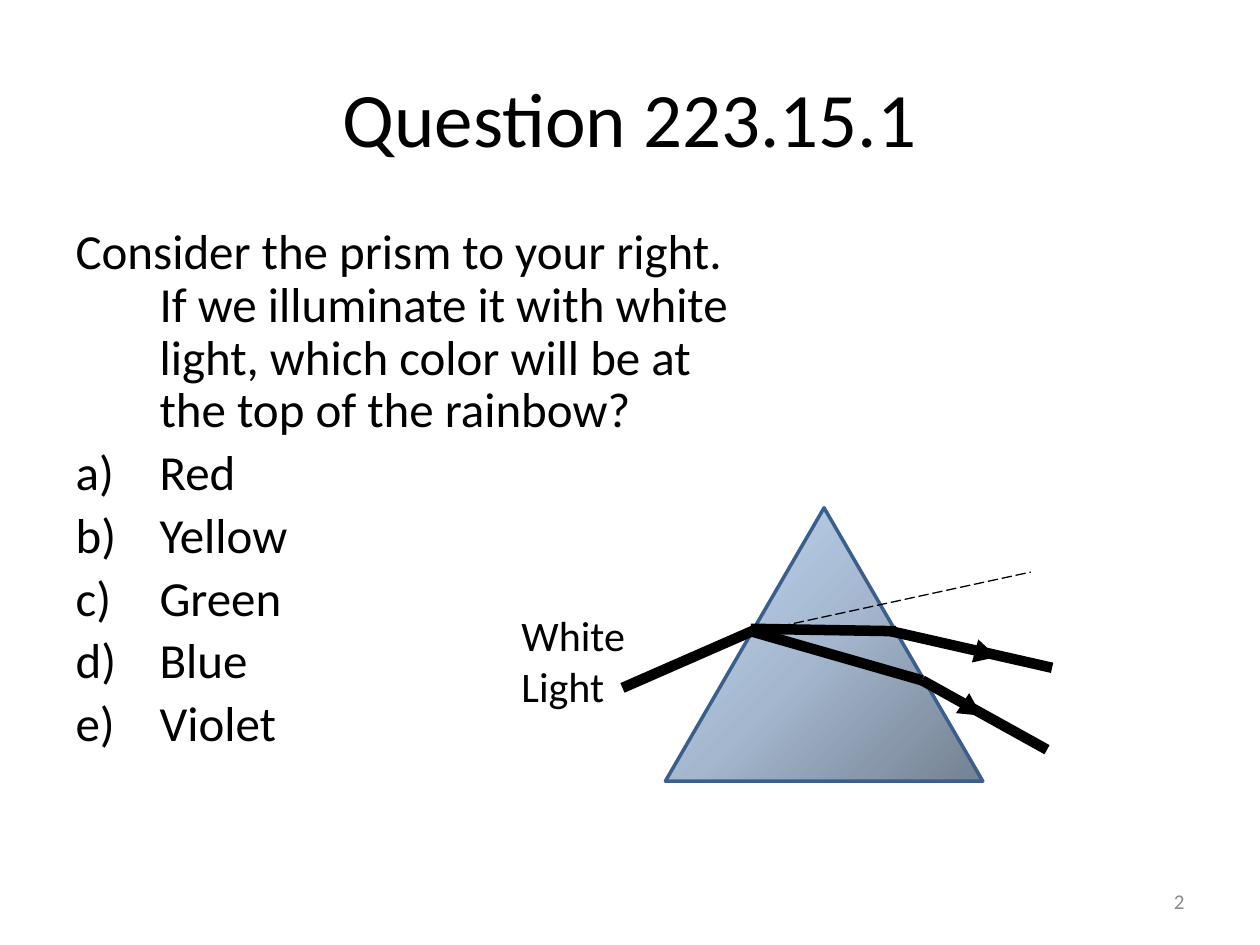
"""Build a question slide about dispersion in a prism."""
from lxml import etree
from pptx import Presentation
from pptx.dml.color import RGBColor
from pptx.enum.dml import MSO_LINE
from pptx.enum.shapes import MSO_CONNECTOR, MSO_SHAPE
from pptx.enum.text import MSO_ANCHOR, MSO_AUTO_SIZE, PP_ALIGN
from pptx.oxml import parse_xml
from pptx.oxml.ns import nsdecls, qn
from pptx.util import Pt

STRAIGHT = MSO_CONNECTOR.STRAIGHT
TRIANGLE = MSO_SHAPE.ISOSCELES_TRIANGLE
LONG_DASH = MSO_LINE.LONG_DASH
MIDDLE, TOP = MSO_ANCHOR.MIDDLE, MSO_ANCHOR.TOP
LEFT, CENTER, RIGHT = PP_ALIGN.LEFT, PP_ALIGN.CENTER, PP_ALIGN.RIGHT
NO_FIT = MSO_AUTO_SIZE.NONE

FONT = "Calibri"
COLORS = {
    "ink": "000000",
    "number": "8C8C8C",
    "edge": "3A5F8C",
    "dark": "748191",
    "mid": "A4B7CE",
    "light": "C3D9F4",
}
QUESTION = ("Consider the prism to your right. If we illuminate it with white "
            "light, which color will be at the top of the rainbow?")
ANSWERS = ["Red", "Yellow", "Green", "Blue", "Violet"]
RAYS = [
    ((429, 359.3), (512, 360.7)),
    ((429, 360.7), (527, 388.8)),
    ((527, 388.8), (598.3, 428.4)),
    ((509, 360.7), (601.2, 381.6)),
]
ARROWHEADS = [(556.6, 367.2, 105.5), (548.6, 398.9, 123.4)]


def rgb(name):
    return RGBColor.from_string(COLORS[name])


def place(sp, left, top, width, height):
    sp.left, sp.top, sp.width, sp.height = map(Pt, (left, top, width, height))


def format_paragraph(p, size, color="ink", align=LEFT):
    p.alignment = align
    for r in p.runs:
        r.font.name, r.font.size = FONT, Pt(size)
        r.font.color.rgb = rgb(color)


def add_title(s, text):
    sp = s.shapes.title
    place(sp, 36, 21.6, 648, 90)
    tf = sp.text_frame
    tf.text = text
    tf.vertical_anchor = MIDDLE
    format_paragraph(tf.paragraphs[0], 44, align=CENTER)


def set_bullet(p, numbered):
    pPr = p._p.get_or_add_pPr()
    pPr.set("marL", str(Pt(48)))
    pPr.set("indent", str(Pt(-48)))
    if numbered:
        etree.SubElement(pPr, qn("a:buFont")).set("typeface", "+mj-lt")
        etree.SubElement(pPr, qn("a:buAutoNum")).set("type", "alphaLcParenR")
    else:
        etree.SubElement(pPr, qn("a:buNone"))


def add_question(s, question, answers):
    sp = s.placeholders[1]
    place(sp, 36, 126, 396, 356.4)
    tf = sp.text_frame
    tf.text = "\n".join([question, *answers])
    tf.auto_size = NO_FIT
    for i, p in enumerate(tf.paragraphs):
        set_bullet(p, numbered=i > 0)
        p.line_spacing = 0.9
        format_paragraph(p, 28)
    tf.paragraphs[0].space_before = Pt(0)


def add_label(s, box, text, size, color="ink", align=LEFT, anchor=TOP):
    sp = s.shapes.add_textbox(*map(Pt, box))
    tf = sp.text_frame
    tf.text = text
    tf.word_wrap = True
    tf.vertical_anchor = anchor
    format_paragraph(tf.paragraphs[0], size, color, align)


def add_triangle(s, left, top, width, height):
    sp = s.shapes.add_shape(TRIANGLE, *map(Pt, (left, top, width, height)))
    sp.shadow.inherit = False
    return sp


def add_prism(s):
    sp = add_triangle(s, 380.2, 290.2, 181.4, 156.2)
    sp.line.color.rgb = rgb("edge")
    sp.line.width = Pt(2)
    stops = "".join(
        f'<a:gs pos="{pos * 1000}"><a:srgbClr val="{COLORS[name]}"/></a:gs>'
        for pos, name in ((0, "dark"), (50, "mid"), (100, "light")))
    gradient = parse_xml(
        f'<a:gradFill {nsdecls("a")} rotWithShape="1"><a:gsLst>{stops}</a:gsLst>'
        '<a:path path="circle"><a:fillToRect l="100000" t="100000"/></a:path>'
        '</a:gradFill>')
    sp._element.spPr.find(qn("a:prstGeom")).addnext(gradient)


def add_arrowhead(s, left, top, angle):
    sp = add_triangle(s, left, top, 13.7, 13)
    sp.rotation = angle
    sp.fill.solid()
    sp.fill.fore_color.rgb = rgb("ink")
    sp.line.fill.background()


def add_line(s, start, end, width=6, dash=None):
    sp = s.shapes.add_connector(STRAIGHT, *map(Pt, (*start, *end)))
    sp.line.color.rgb = rgb("ink")
    sp.line.width = Pt(width)
    if dash:
        sp.line.dash_style = dash
    etree.SubElement(sp._element.spPr, qn("a:effectLst"))


def main():
    prs = Presentation()
    prs.slide_width, prs.slide_height = Pt(720), Pt(540)
    s = prs.slides.add_slide(prs.slide_layouts[1])
    add_title(s, "Question 223.15.1")
    add_question(s, QUESTION, ANSWERS)
    add_label(s, (516, 500.5, 168, 28.8), "2", 12, "number", RIGHT, MIDDLE)
    add_prism(s)
    add_line(s, (429.8, 361.4), (589, 326.9), 0.75, LONG_DASH)
    for start, end in RAYS:
        add_line(s, start, end)
    for head in ARROWHEADS:
        add_arrowhead(s, *head)
    add_label(s, (290.9, 344.9, 73.6, 65.5), "White Light", 24)
    add_line(s, (355.7, 393.1), (431.3, 360))
    prs.save("out.pptx")


if __name__ == "__main__":
    main()
